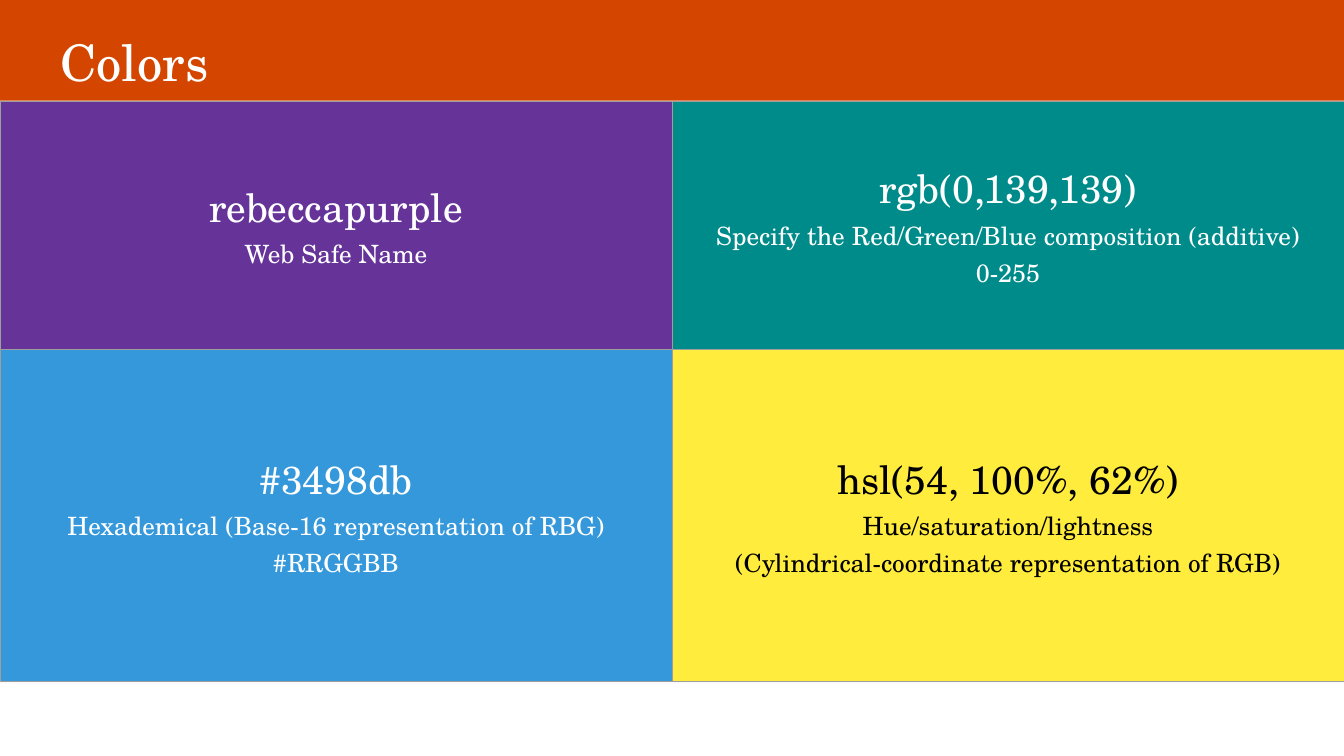
from dataclasses import dataclass

import pptx
import pptx.dml.color
import pptx.enum.shapes
import pptx.enum.text
import pptx.oxml
import pptx.oxml.ns
import pptx.util

EMU_PER_PX = 9525
FONT = "TeX Gyre Schola"
WHITE = "FFFFFF"
BLACK = "000000"
BORDER = "9E9E9E"
BORDER_POINTS = 0.38
PAGE_WIDTH, PAGE_HEIGHT = 1280, 720
ROW_HEIGHTS = (237, 316)
CELL_INSET = 5


@dataclass(frozen=True)
class Band:
    top: int
    height: int
    fill: str


@dataclass(frozen=True)
class Swatch:
    notation: str
    details: tuple[str, ...]
    fill: str
    ink: str = WHITE


BANDS = (
    Band(0, PAGE_HEIGHT, "FAFAFA"),
    Band(0, 96, "D44500"),
    Band(651, 69, WHITE),
)

SWATCHES = (
    (
        Swatch("rebeccapurple", ("Web Safe Name",), "663399"),
        Swatch(
            "rgb(0,139,139)",
            ("Specify the Red/Green/Blue composition (additive)\n0-255",),
            "008B8B",
        ),
    ),
    (
        Swatch(
            "#3498db",
            ("Hexademical (Base-16 representation of RBG)", "#RRGGBB"),
            "3498DB",
        ),
        Swatch(
            "hsl(54, 100%, 62%)",
            ("Hue/saturation/lightness\n(Cylindrical-coordinate representation of RGB)",),
            "FFEC3D",
            BLACK,
        ),
    ),
)


def px(length: int) -> pptx.util.Emu:
    return pptx.util.Emu(length * EMU_PER_PX)


def color(value: str) -> pptx.dml.color.RGBColor:
    return pptx.dml.color.RGBColor.from_string(value)


def write(para, text: str, *, size: int, ink: str, align=None, line_spacing=None) -> None:
    para.alignment = align
    para.line_spacing = line_spacing
    for index, line in enumerate(text.split("\n")):
        if index:
            para.add_line_break()
        span = para.add_run()
        span.text = line
        span.font.name = FONT
        span.font.size = pptx.util.Pt(size)
        span.font.color.rgb = color(ink)


def draw_band(page, band: Band) -> None:
    box = page.shapes.add_shape(
        pptx.enum.shapes.MSO_SHAPE.RECTANGLE,
        px(0), px(band.top), px(PAGE_WIDTH), px(band.height),
    )
    box.shadow.inherit = False
    box.fill.solid()
    box.fill.fore_color.rgb = color(band.fill)
    box.line.fill.background()


def draw_title(page, text: str) -> None:
    box = page.shapes.add_textbox(px(48), px(27), px(1184), px(66))
    frame = box.text_frame
    frame.word_wrap = True
    frame.vertical_anchor = pptx.enum.text.MSO_ANCHOR.BOTTOM
    write(frame.paragraphs[0], text, size=36, ink=WHITE, line_spacing=0.9)


def add_borders(cell) -> None:
    properties = cell._tc.get_or_add_tcPr()
    for index, side in enumerate(("lnL", "lnR", "lnT", "lnB")):
        border = pptx.oxml.parse_xml(
            f'<a:{side} {pptx.oxml.ns.nsdecls("a")} w="{pptx.util.Pt(BORDER_POINTS)}">'
            f'<a:solidFill><a:srgbClr val="{BORDER}"/></a:solidFill></a:{side}>'
        )
        properties.insert(index, border)


def fill_cell(cell, swatch: Swatch) -> None:
    cell.fill.solid()
    cell.fill.fore_color.rgb = color(swatch.fill)
    cell.vertical_anchor = pptx.enum.text.MSO_ANCHOR.MIDDLE
    cell.margin_left = cell.margin_right = px(CELL_INSET)
    cell.margin_top = cell.margin_bottom = px(CELL_INSET)
    center = pptx.enum.text.PP_ALIGN.CENTER
    frame = cell.text_frame
    write(frame.paragraphs[0], swatch.notation, size=28, ink=swatch.ink, align=center)
    for detail in swatch.details:
        write(frame.add_paragraph(), detail, size=18, ink=swatch.ink, align=center)
    add_borders(cell)


def draw_swatches(page) -> None:
    columns = len(SWATCHES[0])
    table = page.shapes.add_table(
        len(SWATCHES), columns,
        px(0), px(96), px(PAGE_WIDTH), px(sum(ROW_HEIGHTS)),
    ).table
    table.first_row = False
    table.horz_banding = False
    for column in table.columns:
        column.width = px(PAGE_WIDTH // columns)
    for row_index, swatches in enumerate(SWATCHES):
        table.rows[row_index].height = px(ROW_HEIGHTS[row_index])
        for column_index, swatch in enumerate(swatches):
            fill_cell(table.cell(row_index, column_index), swatch)


def main() -> None:
    deck = pptx.Presentation()
    deck.slide_width = px(PAGE_WIDTH)
    deck.slide_height = px(PAGE_HEIGHT)
    page = deck.slides.add_slide(deck.slide_layouts[6])
    for band in BANDS:
        draw_band(page, band)
    draw_title(page, "Colors")
    draw_swatches(page)
    deck.save("out.pptx")


if __name__ == "__main__":
    main()
